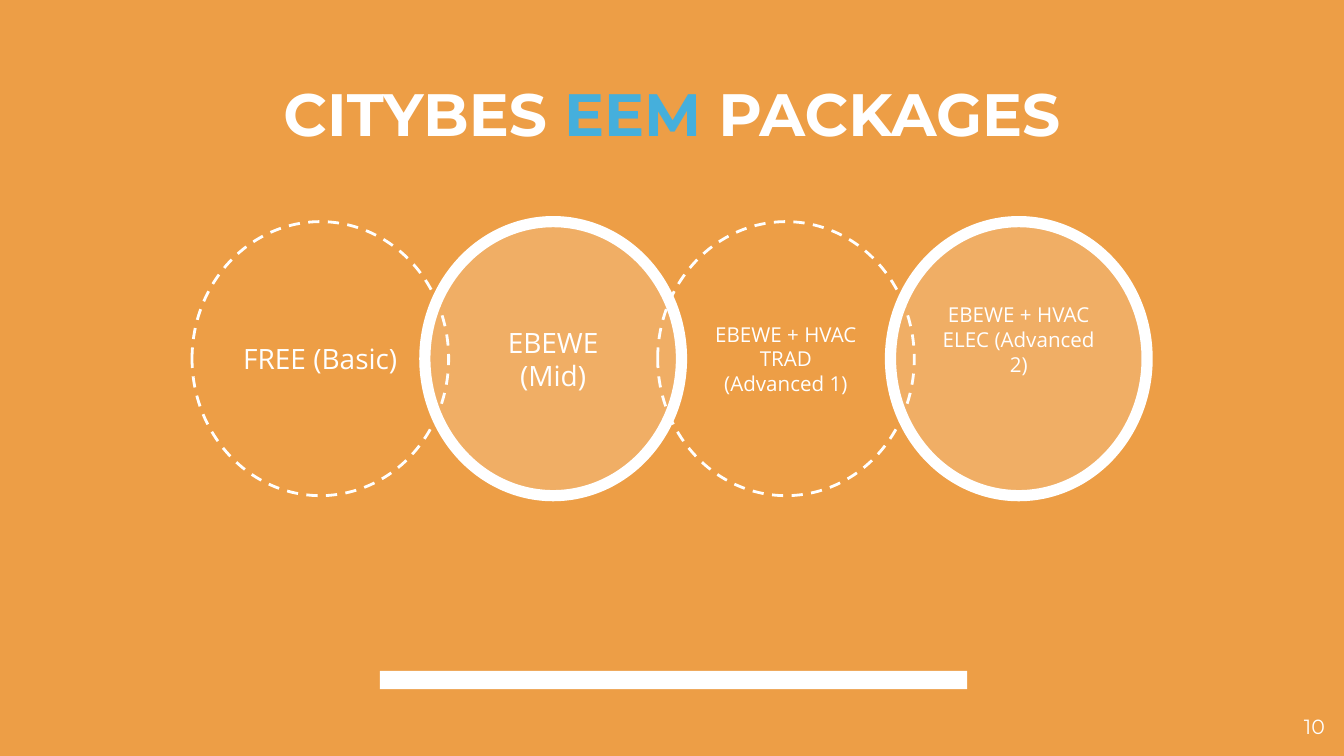
from lxml import etree
from pptx import Presentation
from pptx.dml.color import RGBColor
from pptx.enum.dml import MSO_LINE
from pptx.enum.shapes import MSO_SHAPE
from pptx.enum.text import MSO_ANCHOR, PP_ALIGN
from pptx.oxml.ns import qn
from pptx.util import Cm, Pt

RECTANGLE, OVAL = MSO_SHAPE.RECTANGLE, MSO_SHAPE.OVAL
CENTER, RIGHT = PP_ALIGN.CENTER, PP_ALIGN.RIGHT
TOP, MIDDLE = MSO_ANCHOR.TOP, MSO_ANCHOR.MIDDLE
DASH = MSO_LINE.DASH

COLORS = {"background": "ED9E46", "white": "FFFFFF", "accent": "45AFDC"}
HEADING_FONT, BODY_FONT = "Montserrat", "Open Sans"

TITLE = [("CITYBES ", "white"), ("EEM ", "accent"), ("PACKAGES", "white")]
PAGE_NUMBER = "10"
PACKAGES = [
    {"text": "FREE (Basic)", "size": 15, "solid": False, "lift": 0},
    {"text": "EBEWE (Mid)", "size": 15, "solid": True, "lift": 0},
    {"text": "EBEWE + HVAC TRAD (Advanced 1)", "size": 11, "solid": False, "lift": 0},
    {"text": "EBEWE + HVAC ELEC (Advanced 2)", "size": 11, "solid": True, "lift": 0.73},
]
DRAW_ORDER = [1, 0, 2, 3]

INSET = 0.25
CIRCLE_LEFT, CIRCLE_TOP = 3.63, 4.19
CIRCLE_WIDTH, CIRCLE_HEIGHT = 4.85, 5.18
CIRCLE_STEP = 4.4


def color(name):
    return RGBColor.from_string(COLORS[name])


def write(shape, runs, font_name, size, alignment, anchor, bold=False, lift=0):
    frame = shape.text_frame
    frame.word_wrap = True
    frame.vertical_anchor = anchor
    frame.margin_left = frame.margin_right = frame.margin_top = Cm(INSET)
    frame.margin_bottom = Cm(INSET + lift)
    paragraph = frame.paragraphs[0]
    paragraph.alignment = alignment
    for text, color_name in runs:
        run = paragraph.add_run()
        run.text = text
        run.font.name = font_name
        run.font.size = Pt(size)
        run.font.bold = bold
        run.font.color.rgb = color(color_name)


def add_shape(slide, kind, left, top, width, height):
    shape = slide.shapes.add_shape(kind, Cm(left), Cm(top), Cm(width), Cm(height))
    shape.shadow.inherit = False
    return shape


def fill_white(shape, opacity=100):
    shape.fill.solid()
    shape.fill.fore_color.rgb = color("white")
    if opacity < 100:
        fill_color = shape.fill._xPr.find(".//" + qn("a:srgbClr"))
        etree.SubElement(fill_color, qn("a:alpha"), val=str(opacity * 1000))


def add_package(slide, index):
    package = PACKAGES[index]
    circle = add_shape(slide, OVAL, CIRCLE_LEFT + index * CIRCLE_STEP, CIRCLE_TOP,
                       CIRCLE_WIDTH, CIRCLE_HEIGHT)
    circle.line.color.rgb = color("white")
    if package["solid"]:
        fill_white(circle, 17)
        circle.line.width = Pt(6)
    else:
        circle.fill.background()
        circle.line.width = Pt(1.5)
        circle.line.dash_style = DASH
    write(circle, [(package["text"], "white")], BODY_FONT, package["size"],
          CENTER, MIDDLE, lift=package["lift"])


def main():
    presentation = Presentation()
    presentation.slide_width, presentation.slide_height = Cm(25.4), Cm(14.29)
    slide = presentation.slides.add_slide(presentation.slide_layouts[6])
    slide.background.fill.solid()
    slide.background.fill.fore_color.rgb = color("background")

    bar = add_shape(slide, RECTANGLE, 7.18, 12.68, 11.1, 0.35)
    fill_white(bar)
    bar.line.fill.background()

    title = slide.shapes.add_textbox(Cm(1.27), Cm(1.2), Cm(22.86), Cm(1.6))
    write(title, TITLE, HEADING_FONT, 32, CENTER, TOP, bold=True)

    for index in DRAW_ORDER:
        add_package(slide, index)

    number = slide.shapes.add_textbox(Cm(23.77), Cm(13.26), Cm(1.52), Cm(0.81))
    write(number, [(PAGE_NUMBER, "white")], HEADING_FONT, 11, RIGHT, TOP)

    presentation.save("out.pptx")


if __name__ == "__main__":
    main()
